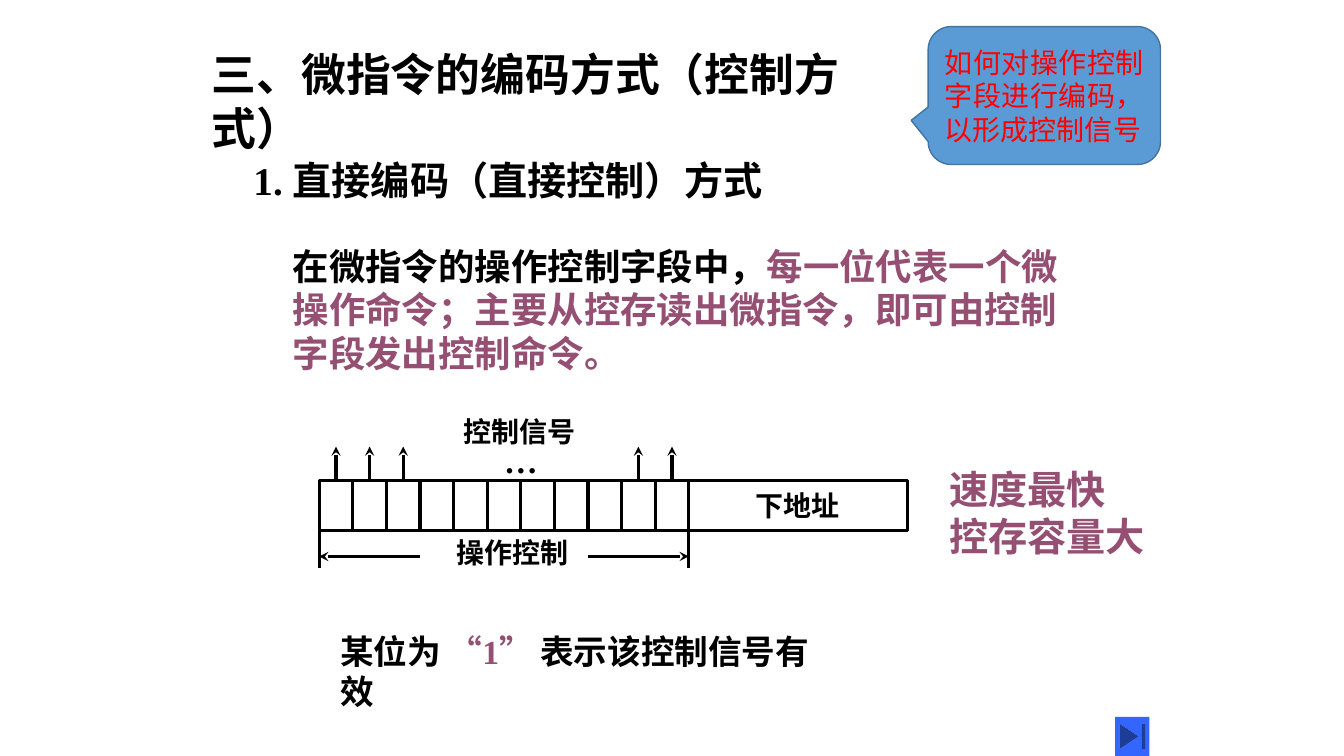
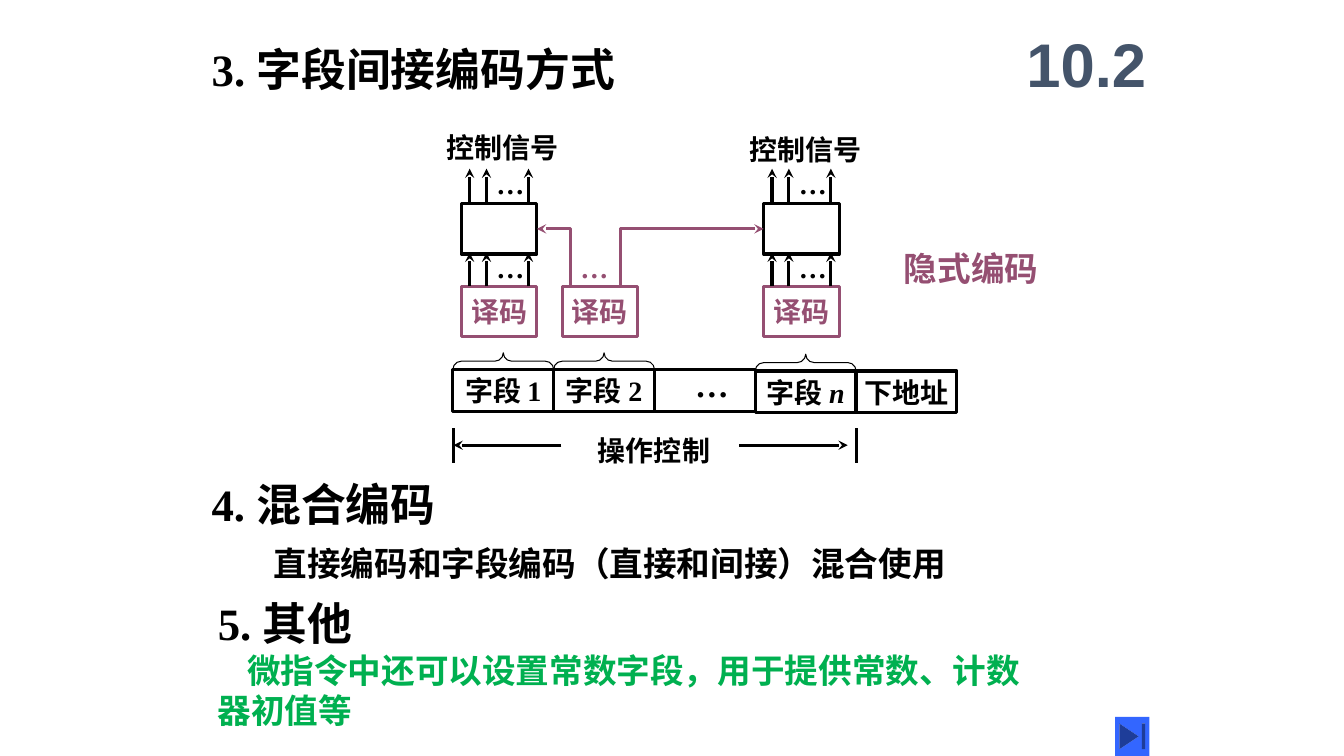
from dataclasses import dataclass

from pptx import Presentation
from pptx.dml.color import RGBColor
from pptx.enum.shapes import MSO_CONNECTOR, MSO_SHAPE
from pptx.enum.text import MSO_ANCHOR, MSO_AUTO_SIZE, PP_ALIGN
from pptx.oxml.ns import qn
from pptx.util import Pt
from lxml.etree import SubElement

BLACK = RGBColor(0x00, 0x00, 0x00)
PLUM = RGBColor(0x95, 0x4F, 0x72)
GREEN = RGBColor(0x00, 0xB0, 0x50)
RED = RGBColor(0xFF, 0x00, 0x00)
SLATE = RGBColor(0x44, 0x54, 0x6A)
BUTTON_BLUE = RGBColor(0x33, 0x66, 0xFF)
CALLOUT_BLUE = RGBColor(0x5B, 0x9B, 0xD5)
CALLOUT_EDGE = RGBColor(0x43, 0x73, 0x9E)

SERIF = "Times New Roman"
SANS = "DejaVu Sans"
CHINESE = "Noto Sans CJK SC"
STROKE = 2.25
TITLE_SIZE = 32


@dataclass
class Span:
    text: str
    size: float = 20
    colour: RGBColor = BLACK
    face: str = SERIF
    bold: bool = True
    italic: bool = False


def write_paragraph(para, spans, align=PP_ALIGN.LEFT):
    para.alignment = align
    for span in spans:
        run = para.add_run()
        run.text = span.text
        font = run.font
        font.size = Pt(span.size)
        font.bold = span.bold
        font.italic = span.italic
        font.color.rgb = span.colour
        font.name = span.face
        SubElement(run._r.get_or_add_rPr(), qn("a:ea"), typeface=CHINESE)


def add_text(page, left, top, width, height, *paragraphs, wrap=True):
    box = page.shapes.add_textbox(Pt(left), Pt(top), Pt(width), Pt(height))
    frame = box.text_frame
    frame.word_wrap = wrap
    for index, spans in enumerate(paragraphs):
        para = frame.add_paragraph() if index else frame.paragraphs[0]
        write_paragraph(para, spans)
    return box


def add_label(page, left, top, text, size=20, colour=BLACK):
    add_text(page, left, top, 104, 32, [Span(text, size, colour)], wrap=False)


def set_title(page, left, top, width, height, spans):
    title = page.shapes.title
    title.left, title.top = Pt(left), Pt(top)
    title.width, title.height = Pt(width), Pt(height)
    frame = title.text_frame
    frame.word_wrap = True
    frame.auto_size = MSO_AUTO_SIZE.NONE
    frame.vertical_anchor = MSO_ANCHOR.TOP
    write_paragraph(frame.paragraphs[0], spans)


def add_shape(page, kind, left, top, width, height, fill=None, line=None, weight=STROKE):
    shape = page.shapes.add_shape(kind, Pt(left), Pt(top), Pt(width), Pt(height))
    shape.shadow.inherit = False
    if fill is None:
        shape.fill.background()
    else:
        shape.fill.solid()
        shape.fill.fore_color.rgb = fill
    if line is None:
        shape.line.fill.background()
    else:
        shape.line.color.rgb = line
        shape.line.width = Pt(weight)
    return shape


def add_cell(page, left, top, width, height, *spans, colour=BLACK):
    cell = add_shape(page, MSO_SHAPE.RECTANGLE, left, top, width, height, line=colour)
    if spans:
        frame = cell.text_frame
        frame.word_wrap = False
        frame.vertical_anchor = MSO_ANCHOR.MIDDLE
        write_paragraph(frame.paragraphs[0], spans, PP_ALIGN.CENTER)


def add_arrowhead(shape):
    SubElement(shape.line._get_or_add_ln(), qn("a:tailEnd"), type="stealth")


def add_line(page, start, end, arrow=False):
    line = page.shapes.add_connector(
        MSO_CONNECTOR.STRAIGHT, Pt(start[0]), Pt(start[1]), Pt(end[0]), Pt(end[1]))
    line.line.color.rgb = BLACK
    line.line.width = Pt(STROKE)
    if arrow:
        add_arrowhead(line)
    SubElement(line._element.spPr, qn("a:effectLst"))


def add_up_arrows(page, positions, base):
    for x in positions:
        add_line(page, (x, base), (x, base - 24), arrow=True)


def add_elbow_arrow(page, start, corner, end):
    points = [(Pt(x), Pt(y)) for x, y in (start, corner, end)]
    builder = page.shapes.build_freeform(*points[0])
    builder.add_line_segments(points[1:], close=False)
    elbow = builder.convert_to_shape()
    elbow.shadow.inherit = False
    elbow.fill.background()
    elbow.line.color.rgb = PLUM
    elbow.line.width = Pt(STROKE)
    add_arrowhead(elbow)


def add_control_extent(page, ticks, tick_top, tick_bottom, arrow_y, arrows, label_left):
    for x in ticks:
        add_line(page, (x, tick_top), (x, tick_bottom))
    for start, end in arrows:
        add_line(page, (start, arrow_y), (end, arrow_y), arrow=True)
    add_label(page, label_left, tick_top, "操作控制")


def add_brace(page, left, top, width, height):
    brace = add_shape(page, MSO_SHAPE.LEFT_BRACE, left + (width - height) / 2,
                      top - (width - height) / 2, height, width, line=BLACK, weight=0.75)
    brace.adjustments[0] = 0.5
    brace.rotation = 90


def add_signals(page, decoder_left, base):
    add_up_arrows(page, [decoder_left + offset for offset in (6, 18, 48)], base)
    add_label(page, decoder_left + 18, base - 29, "…")


def add_end_button(page):
    add_shape(page, MSO_SHAPE.ACTION_BUTTON_END, 796.5, 512, 24.5, 28, fill=BUTTON_BLUE)


def add_callout(page):
    callout = add_shape(page, MSO_SHAPE.ROUNDED_RECTANGULAR_CALLOUT, 663, 19, 166, 98.5,
                        CALLOUT_BLUE, CALLOUT_EDGE, 1)
    for index, value in enumerate((-0.573, 0.18, 0.167)):
        callout.adjustments[index] = value
    frame = callout.text_frame
    frame.word_wrap = True
    frame.vertical_anchor = MSO_ANCHOR.MIDDLE
    question = Span("如何对操作控制字段进行编码，以形成控制信号", 20, RED, CHINESE, bold=False)
    write_paragraph(frame.paragraphs[0], [question], PP_ALIGN.JUSTIFY)


def add_direct_diagram(page):
    left, top, bit, height, bits = 228, 343, 24, 36, 11
    right = left + bits * bit
    for index in range(bits):
        add_cell(page, left + index * bit, top, bit, height)
    add_cell(page, right, top, 156, height, Span("下地址"))
    add_up_arrows(page, [left + bit * (index + 0.5) for index in (0, 1, 2, 9, 10)], top)
    add_label(page, 353, 310.5, "…", 24)
    add_label(page, 324, 292.5, "控制信号")
    add_control_extent(page, (left, right), top + height, 406, 397.5,
                       ((300, left), (420, right)), 319)


def add_indirect_diagram(page):
    left, width, height, top = 323.5, 72, 30, 264
    fields = (
        ([Span("字段 1")], 0, True),
        ([Span("字段 2")], 0, True),
        ([], 0, False),
        ([Span("字段 "), Span("n", italic=True)], 1, True),
        ([Span("下地址")], 1, False),
    )
    for index, (spans, drop, braced) in enumerate(fields):
        x = left + index * width
        add_cell(page, x, top + drop, width, height, *spans)
        if braced:
            add_brace(page, x, top + drop - 12, width, 12)
    add_label(page, 489.5, 256.5, "…", 24)

    decoder_top, output_top = 204.5, 145.5
    first, second, last = 329.5, 401.5, 545.5
    for x in (first, second, last):
        add_cell(page, x, decoder_top, 54, 36, Span("译码", colour=PLUM), colour=PLUM)
    for x, label_top in ((first, 90), (last, 91)):
        add_cell(page, x, output_top, 54, 36)
        add_signals(page, x, decoder_top)
        add_signals(page, x, output_top - 1)
        add_label(page, x - 17.5, label_top, "控制信号")
    add_label(page, 407.5, 175.5, "…", colour=PLUM)
    bend = 163.5
    for x, end in ((second + 6, first + 54), (second + 42, last)):
        add_elbow_arrow(page, (x, decoder_top), (x, bend), (end, bend))
    add_control_extent(page, (324, 612), 306, 330.5, 318,
                       ((401, 324), (528, 605.5)), 420)


def build_direct_page(page):
    set_title(page, 144, 30, 526, 86,
              [Span("三、微指令的编码方式（控制方式）", TITLE_SIZE, face=SANS)])
    add_text(page, 174, 108, 556, 41,
             [Span("1. ", 28), Span("直接编码（直接控制）方式", 28, face=SANS)])
    add_text(page, 202, 170.5, 580, 101.5, [
        Span("在微指令的操作控制字段中，", 26, face=SANS),
        Span("每一位代表一个微操作命令；主要从控存读出微指令，即可由控制字段发出控制命令。",
             26, PLUM, SANS)])
    add_text(page, 671, 329, 158.5, 75,
             *([Span(text, 28, PLUM, SANS)] for text in ("速度最快", "控存容量大")))
    add_direct_diagram(page)
    add_text(page, 236, 447, 362, 66, [
        Span("某位为 ", 24), Span("“1” ", 24, PLUM), Span("表示该控制信号有效", 24)])
    add_end_button(page)
    add_callout(page)


def build_indirect_page(page):
    set_title(page, 144, 26, 560, 46,
              [Span("3. ", TITLE_SIZE), Span("字段间接编码方式", TITLE_SIZE, face=SANS)])
    add_text(page, 144, 337, 527, 46,
             [Span("4. ", TITLE_SIZE), Span("混合编码", TITLE_SIZE, face=SANS)])
    add_text(page, 188.5, 384, 601, 36,
             [Span("直接编码和字段编码（直接和间接）混合使用", 24, face=SANS)])
    other = add_text(
        page, 148.5, 422, 598, 104,
        [Span("5. ", TITLE_SIZE), Span("其他", TITLE_SIZE, face=SANS)],
        [Span("微指令中还可以设置常数字段，用于提供常数、计数器初值等", 24, GREEN, SANS)])
    other.text_frame.paragraphs[1]._p.get_or_add_pPr().set("indent", str(Pt(21)))
    add_indirect_diagram(page)
    section = add_text(page, 726, 12, 114, 66, [Span("10.2", 44, SLATE, "Arial")])
    section.text_frame.vertical_anchor = MSO_ANCHOR.MIDDLE
    add_text(page, 638.5, 173.5, 170, 36, [Span("隐式编码", 24, PLUM)])
    add_end_button(page)


def main():
    deck = Presentation()
    deck.slide_width, deck.slide_height = Pt(960), Pt(540)
    for build_page in (build_direct_page, build_indirect_page):
        build_page(deck.slides.add_slide(deck.slide_layouts[5]))
    deck.save("out.pptx")


if __name__ == "__main__":
    main()
